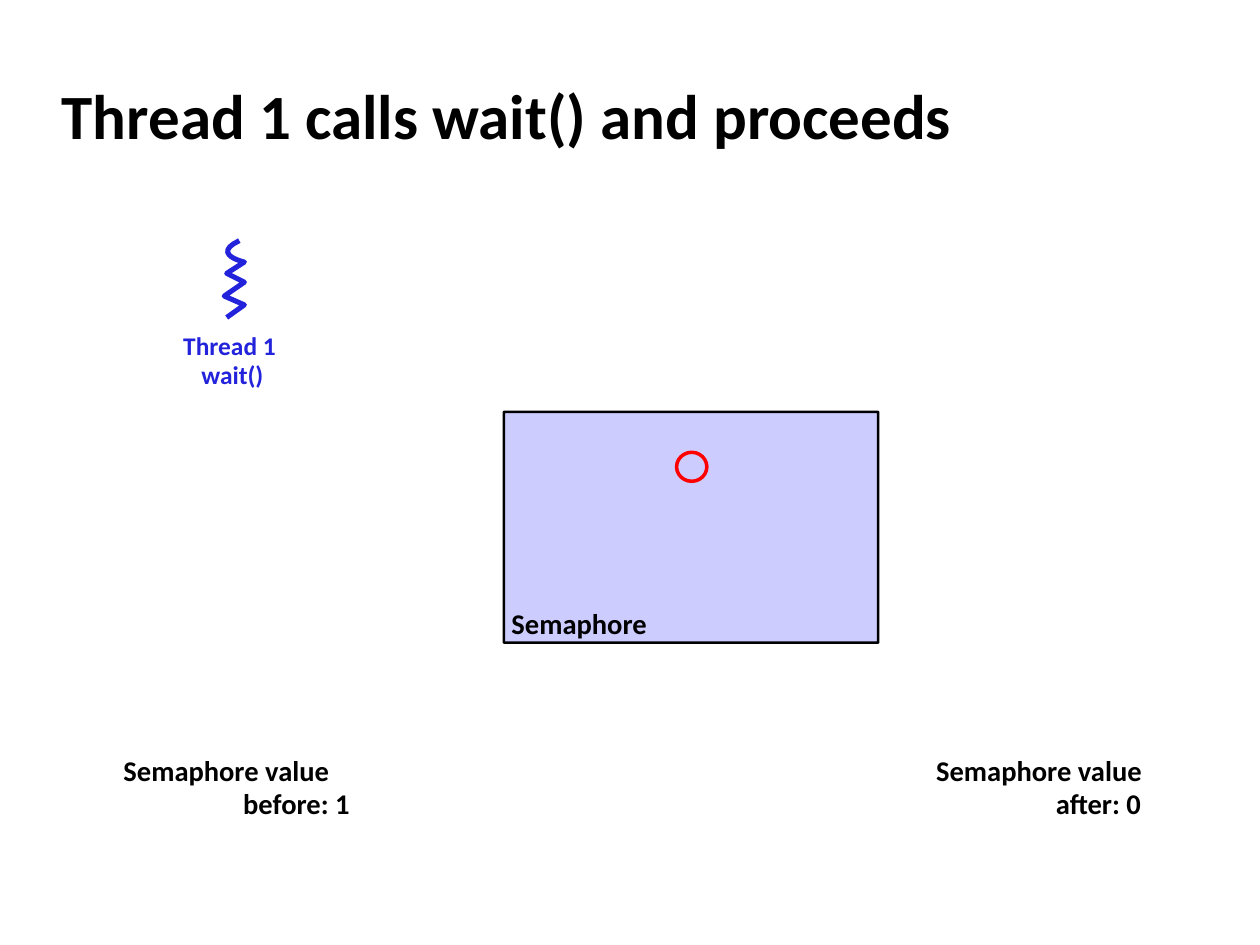
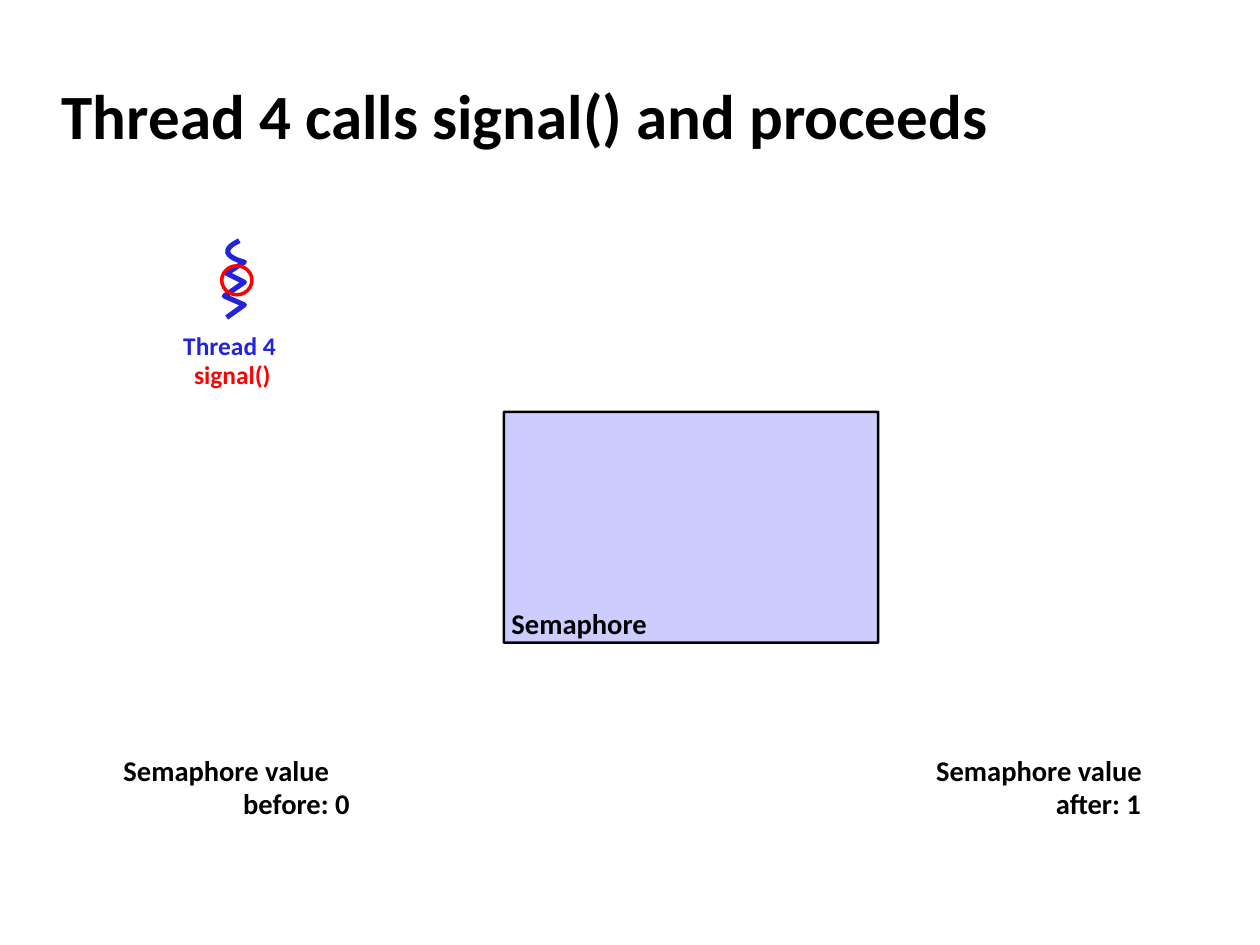
from pptx import Presentation
from pptx import util as u
from pptx.dml.color import RGBColor
from pptx.enum import shapes, text

PX = 9144  # 100 px to the inch
FONT = "Calibri"
COLORS = {"ink": "000000", "thread": "2323DC", "token": "FF0000", "box": "CCCCFF"}


def style(paragraph, size, color):
    paragraph.font.name = FONT
    paragraph.font.size = u.Pt(size)
    paragraph.font.bold = True
    paragraph.font.color.rgb = RGBColor.from_string(COLORS[color])


def add_label(slide, box, lines, size, margin=0, align=None, indent=0, wrap=True):
    """Add a text box of (text, color) lines; lines after the first are indented."""
    frame = slide.shapes.add_textbox(*(v * PX for v in box)).text_frame
    frame.word_wrap = wrap
    frame.margin_top = frame.margin_right = frame.margin_bottom = 0
    frame.margin_left = margin * PX
    for i, (line, color) in enumerate(lines):
        paragraph = frame.add_paragraph() if i else frame.paragraphs[0]
        paragraph.text = line
        paragraph.line_spacing = 0.95
        paragraph.alignment = align
        if i and indent:
            paragraph._p.get_or_add_pPr().set("marL", str(indent * PX))
            paragraph._p.get_or_add_pPr().set("indent", "0")
        style(paragraph, size, color)


# Thread symbol: a curved start (cubic with its last two points equal), then a zigzag
start, control, end = (190, 191), (167, 202), (194, 208)
STEPS = 12
squiggle = []
for step in range(STEPS + 1):
    t = step / STEPS
    weights = ((1 - t) ** 3, 3 * t * (1 - t) ** 2, 3 * t ** 2 * (1 - t) + t ** 3)
    squiggle.append(tuple(sum(w * point[axis] for w, point in zip(weights, (start, control, end)))
                          for axis in (0, 1)))
squiggle += [(180, 217), (194, 224), (178, 235), (194, 242), (180, 252)]
squiggle = [(round(x * PX), round(y * PX)) for x, y in squiggle]

# Thread number, call, call color, token position, value before and after
STATES = [
    (1, "wait()", "thread", (537, 359), 1, 0),
    (4, "signal()", "token", (176, 211), 0, 1),
]

presentation = Presentation()
presentation.slide_width, presentation.slide_height = 1000 * PX, 750 * PX

for number, call, call_color, token_at, before, after in STATES:
    slide = presentation.slides.add_slide(presentation.slide_layouts[5])

    # Title
    title = slide.shapes.title
    title.left, title.top, title.width, title.height = (v * PX for v in (39, 49, 830, 83))
    title.text_frame.text = f"Thread {number} calls {call} and proceeds"
    title.text_frame.vertical_anchor = text.MSO_ANCHOR.MIDDLE
    heading = title.text_frame.paragraphs[0]
    heading.alignment = text.PP_ALIGN.LEFT
    style(heading, 36, "ink")

    # Semaphore box
    semaphore = slide.shapes.add_shape(shapes.MSO_SHAPE.ROUNDED_RECTANGLE,
                                       *(v * PX for v in (400, 327, 297, 183)))
    semaphore.adjustments[0] = 0.001
    semaphore.shadow.inherit = False
    semaphore.fill.solid()
    semaphore.fill.fore_color.rgb = RGBColor.from_string(COLORS["box"])
    semaphore.line.color.rgb = RGBColor.from_string(COLORS["ink"])
    semaphore.line.width = u.Pt(1.45)

    # Thread and its call
    builder = slide.shapes.build_freeform(*squiggle[0])
    builder.add_line_segments(squiggle[1:], close=False)
    thread = builder.convert_to_shape()
    add_label(slide, (136, 264, 97, 47),
              [(f"Thread {number} ", "thread"), (call, call_color)],
              14.5, align=text.PP_ALIGN.CENTER, wrap=False)

    # Token
    token = slide.shapes.add_shape(shapes.MSO_SHAPE.OVAL,
                                   *(v * PX for v in (*token_at, 24, 23)))
    for shape, color, width in ((thread, "thread", 2.89), (token, "token", 2)):
        shape.shadow.inherit = False
        shape.fill.background()
        shape.line.color.rgb = RGBColor.from_string(COLORS[color])
        shape.line.width = u.Pt(width)

    # Captions
    add_label(slide, (401, 483, 297, 26), [("Semaphore", "ink")], 16.3, margin=5)
    for left, value in ((94, f"before: {before}"), (739, f"after: {after}")):
        add_label(slide, (left, 600, 297, 26),
                  [("Semaphore value", "ink"), (value, "ink")], 16.3, margin=4, indent=95)

presentation.save("out.pptx")
